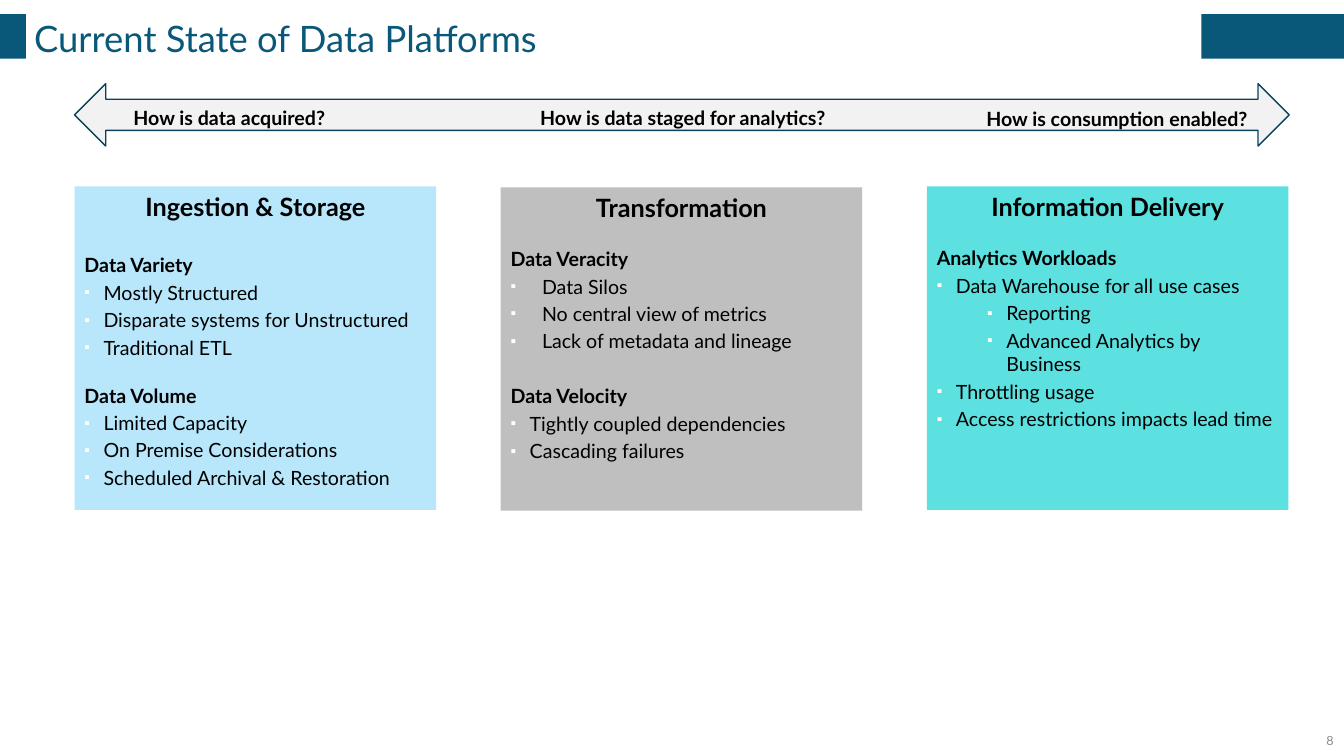
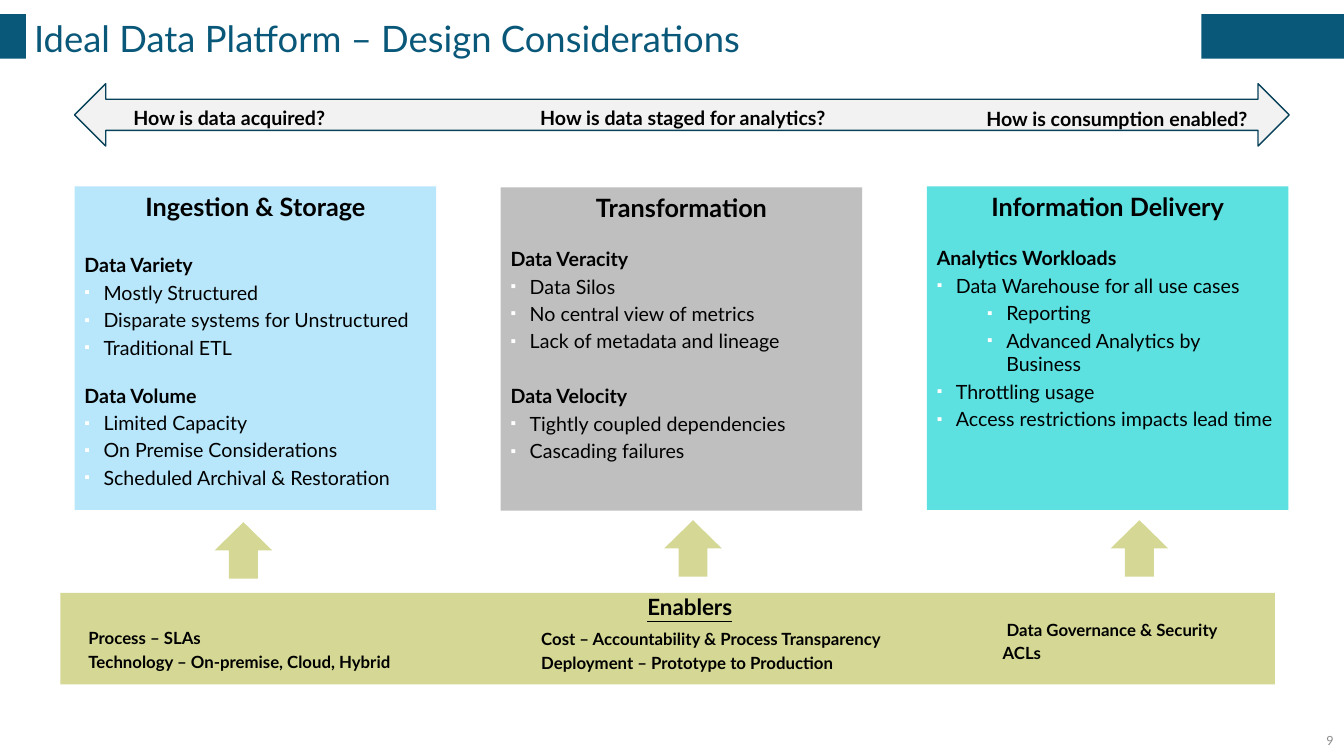
from lxml.etree import SubElement
from pptx import Presentation
from pptx.dml.color import RGBColor
from pptx.enum.shapes import MSO_SHAPE as SHAPE
from pptx.enum.text import MSO_ANCHOR as ANCHOR, PP_ALIGN as ALIGN
from pptx.oxml.ns import qn
from pptx.util import Cm, Pt

FONT = "Lato"
BLUE, OUTLINE, BLACK, WHITE = "095879", "07415A", "000000", "FFFFFF"
PALE, OLIVE, GREY = "F2F2F2", "D5D894", "8C8C8C"
HANG, WIDE_HANG, NESTED = 0.48, 0.79, 1.75
SMALL_GAP, LARGE_GAP = 17.5, 22.4

rgb = RGBColor.from_string


def add_box(s, kind, x, y, w, h, fill, line=None):
    sp = s.shapes.add_shape(kind, Cm(x), Cm(y), Cm(w), Cm(h))
    sp.shadow.inherit = False
    sp.fill.solid()
    sp.fill.fore_color.rgb = rgb(fill)
    if line:
        sp.line.color.rgb = rgb(line)
        sp.line.width = Pt(1)
    else:
        sp.line.fill.background()
    sp.text_frame.word_wrap = True
    sp.text_frame.vertical_anchor = ANCHOR.TOP
    return sp


def add_text(tf, text, size, color=BLACK, bold=False, align=ALIGN.LEFT,
             before=None, left=0, hang=0):
    p = tf.paragraphs[0]
    if p.runs:
        p = tf.add_paragraph()
        p.space_before = Pt(size * 0.2 if before is None else before)
    p.alignment = align
    pPr = p._p.get_or_add_pPr()
    pPr.set("marL", str(Cm(left)))
    pPr.set("indent", str(-Cm(hang)))
    if hang:
        SubElement(SubElement(pPr, qn("a:buClr")), qn("a:srgbClr"), val=WHITE)
        SubElement(pPr, qn("a:buSzPct"), val="80000")
        SubElement(pPr, qn("a:buFont"), typeface="Arial")
        SubElement(pPr, qn("a:buChar"), char="▪")
    r = p.add_run()
    r.text = text
    r.font.name = FONT
    r.font.size = Pt(size)
    r.font.bold = bold
    r.font.color.rgb = rgb(color)
    return r


questions = [
    (2.95, 2.54, 5.66, "How is data acquired?"),
    (13.03, 2.54, 8.36, "How is data staged for analytics?"),
    (24.38, 2.57, 7.54, "How is consumption enabled?"),
]
columns = [
    ("Ingestion & Storage", "B8E6FA", 4.7, [
        (LARGE_GAP, "Data Variety", [
            (HANG, "Mostly Structured"),
            (HANG, "Disparate systems for Unstructured"),
            (HANG, "Traditional ETL")]),
        (SMALL_GAP, "Data Volume", [
            (HANG, "Limited Capacity"),
            (HANG, "On Premise Considerations"),
            (HANG, "Scheduled Archival & Restoration")]),
    ]),
    ("Transformation", "BFBFBF", 4.72, [
        (SMALL_GAP, "Data Veracity", [
            (HANG, "Data Silos"),
            (HANG, "No central view of metrics"),
            (HANG, "Lack of metadata and lineage")]),
        (LARGE_GAP, "Data Velocity", [
            (HANG, "Tightly coupled dependencies"),
            (HANG, "Cascading failures")]),
    ]),
    ("Information Delivery", "5CE0E0", 4.7, [
        (SMALL_GAP, "Analytics Workloads", [
            (HANG, "Data Warehouse for all use cases"),
            (NESTED, "Reporting"),
            (NESTED, "Advanced Analytics by Business"),
            (HANG, "Throttling usage"),
            (HANG, "Access restrictions impacts lead time")]),
    ]),
]
enablers = [
    (1.98, 15.7, 8.81, [(0, "Process – SLAs"),
                        (0, "Technology – On-premise, Cloud, Hybrid")]),
    (13.39, 15.72, 9.63, [(0, "Cost – Accountability & Process Transparency"),
                          (0, "Deployment – Prototype to Production")]),
    (25.02, 15.49, 6.3, [(0.1, "Data Governance & Security"), (0, "ACLs")]),
]
slides = [
    ("Current State of Data Platforms", "8", "Data Veracity", False),
    ("Ideal Data Platform – Design Considerations", "9", None, True),
]

prs = Presentation()
prs.slide_width, prs.slide_height = Cm(33.87), Cm(19.05)

for title, number, wide_section, has_enablers in slides:
    s = prs.slides.add_slide(prs.slide_layouts[6])

    add_box(s, SHAPE.RECTANGLE, 0, 0.36, 33.87, 1.12, BLUE)
    tf = add_box(s, SHAPE.RECTANGLE, 0.66, 0.2, 29.62, 1.5, WHITE).text_frame
    tf.margin_left = tf.margin_right = Cm(0.2)
    tf.margin_top = tf.margin_bottom = 0
    tf.vertical_anchor = ANCHOR.MIDDLE
    add_text(tf, title, 26, BLUE)

    tf = s.shapes.add_textbox(Cm(26.24), Cm(18.34), Cm(7.62), Cm(0.66)).text_frame
    tf.word_wrap = True
    tf.vertical_anchor = ANCHOR.MIDDLE
    add_text(tf, number, 9, GREY, align=ALIGN.RIGHT)

    add_box(s, SHAPE.LEFT_RIGHT_ARROW, 1.88, 2.11, 30.61, 1.57, PALE, OUTLINE)
    for x, y, w, question in questions:
        tf = s.shapes.add_textbox(Cm(x), Cm(y), Cm(w), Cm(0.86)).text_frame
        tf.word_wrap = True
        add_text(tf, question, 14, bold=True, align=ALIGN.CENTER)

    for i, (heading, fill, y, sections) in enumerate(columns):
        tf = add_box(s, SHAPE.RECTANGLE, 1.88 + i * 10.74, y, 9.11, 8.15, fill).text_frame
        add_text(tf, heading, 18, bold=True, align=ALIGN.CENTER)
        for gap, section, items in sections:
            add_text(tf, section, 14, bold=True, before=gap)
            for left, item in items:
                if section == wide_section:
                    add_text(tf, item, 14, left=WIDE_HANG, hang=WIDE_HANG)
                else:
                    add_text(tf, item, 14, left=left, hang=HANG)

    if has_enablers:
        add_box(s, SHAPE.RECTANGLE, 1.52, 14.94, 30.61, 2.31, OLIVE)
        for x, y in [(5.41, 13.16), (16.74, 13.11), (27.99, 13.11)]:
            add_box(s, SHAPE.UP_ARROW, x, y, 1.45, 1.42, OLIVE)
        for x, y, w, lines in enablers:
            tf = s.shapes.add_textbox(Cm(x), Cm(y), Cm(w), Cm(1.4)).text_frame
            tf.word_wrap = True
            for left, line in lines:
                add_text(tf, line, 12, bold=True, left=left)
        tf = s.shapes.add_textbox(Cm(16), Cm(14.83), Cm(2.77), Cm(0.94)).text_frame
        tf.word_wrap = True
        r = add_text(tf, "Enablers", 16, bold=True, align=ALIGN.CENTER)
        r.font.underline = True

prs.save("out.pptx")
